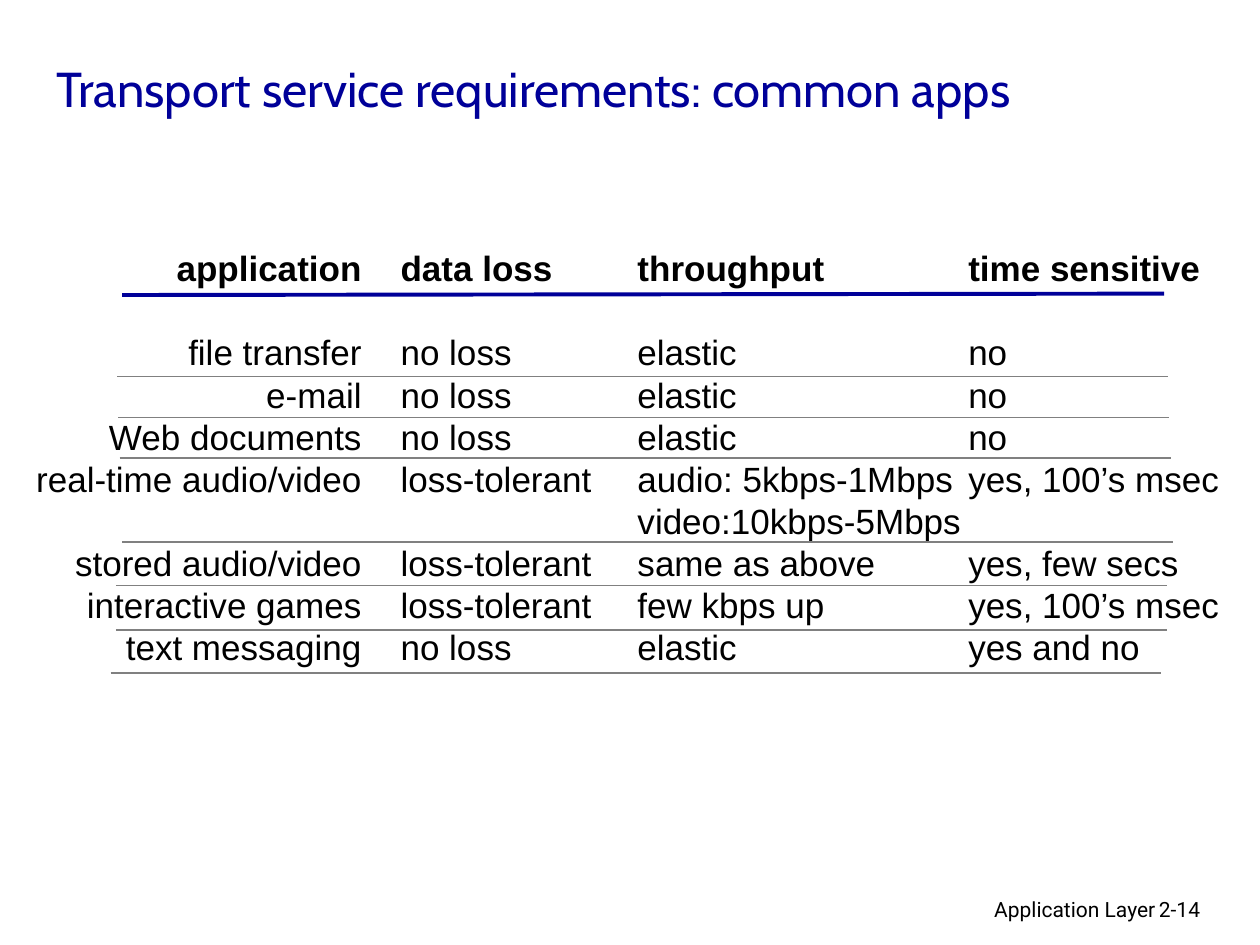
from pptx import Presentation
from pptx.dml.color import RGBColor
from pptx.enum import shapes, text
from pptx.util import Pt
from lxml import etree

INK = {"black": "000000", "navy": "000099", "grey": "808080"}
NS = "http://schemas.openxmlformats.org/drawingml/2006/main"
LEFT, RIGHT = text.PP_ALIGN.LEFT, text.PP_ALIGN.RIGHT
ROW = 24

# left, width, alignment, heading, entries (None leaves a row open)
COLUMNS = [
    (11.8, 202, RIGHT, "application",
     ["file transfer", "e-mail", "Web documents", "real-time audio/video", None,
      "stored audio/video", "interactive games", "text messaging"]),
    (221.8, 126, LEFT, "data loss",
     ["no loss", "no loss", "no loss", "loss-tolerant", None,
      "loss-tolerant", "loss-tolerant", "no loss"]),
    (357.2, 203, LEFT, "throughput",
     ["elastic", "elastic", "elastic", "audio: 5kbps-1Mbps", "video:10kbps-5Mbps",
      "same as above", "few kbps up", "elastic"]),
    (546.2, 173.8, LEFT, "time sensitive",
     ["no", "no", "no", "yes, 100’s msec", None,
      "yes, few secs", "yes, 100’s msec", "yes and no"]),
]

# left end and height of each rule between rows
RULES = [(67, 215.2), (67.6, 238.6), (68.4, 261.8), (69.8, 309.8),
         (66.2, 334.6), (66.2, 360), (63.2, 384.6)]
SPAN = 600.5


class Deck:
    def __init__(self):
        self.prs = Presentation()
        self.prs.slide_width, self.prs.slide_height = Pt(720), Pt(540)
        self.slide = self.prs.slides.add_slide(self.prs.slide_layouts[5])

    def style(self, para, face, size, ink="black", bold=False, align=LEFT):
        para.alignment = align
        font = para.font
        font.name, font.size, font.bold = face, Pt(size), bold
        font.color.rgb = RGBColor.from_string(INK[ink])

    def title(self, words, x, y, w, h):
        box = self.slide.shapes.title
        box.left, box.top, box.width, box.height = map(Pt, (x, y, w, h))
        frame = box.text_frame
        frame.text = words
        frame.auto_size = text.MSO_AUTO_SIZE.NONE
        frame.vertical_anchor = text.MSO_ANCHOR.MIDDLE
        self.style(frame.paragraphs[0], "Cabin", 28, "navy")

    def box(self, x, y, w, h):
        frame = self.slide.shapes.add_textbox(*map(Pt, (x, y, w, h))).text_frame
        frame.word_wrap = True
        return frame

    def label(self, words, x, y, w, h, align=LEFT):
        frame = self.box(x, y, w, h)
        frame.text = words
        self.style(frame.paragraphs[0], "Roboto", 12, align=align)

    def column(self, x, w, align, head, cells):
        """Stack a heading, an open row and the entries on a shared row pitch."""
        frame = self.box(x, 137.6, w, 247.2)
        frame.auto_size = text.MSO_AUTO_SIZE.SHAPE_TO_FIT_TEXT
        gap = 0
        for i, cell in enumerate([head, None] + cells):
            if cell is None:
                gap += ROW
                continue
            para = frame.add_paragraph() if i else frame.paragraphs[0]
            para.text = cell
            para.line_spacing = Pt(ROW)
            if gap:
                para.space_before = Pt(gap)
            self.style(para, "Arial", 20, bold=i == 0, align=align)
            gap = 0

    def rule(self, x1, y1, x2, y2, ink="grey", width=1):
        line = self.slide.shapes.add_connector(
            shapes.MSO_CONNECTOR.STRAIGHT, *map(Pt, (x1, y1, x2, y2)))
        line.line.color.rgb = RGBColor.from_string(INK[ink])
        line.line.width = Pt(width)
        etree.SubElement(line._element.spPr, f"{{{NS}}}effectLst")


def main():
    deck = Deck()
    deck.label("Application Layer", 439.2, 509, 228.2, 22, RIGHT)
    deck.label("2-14", 655.2, 509, 53.3, 22)
    deck.title("Transport service requirements: common apps", 25.2, 18, 646, 64)
    for col in COLUMNS:
        deck.column(*col)
    deck.rule(69.8, 168.6, 665.2, 167.8, "navy", 2.25)
    for x, y in RULES:
        deck.rule(x, y, x + SPAN, y)
    deck.prs.save("out.pptx")


if __name__ == "__main__":
    main()
